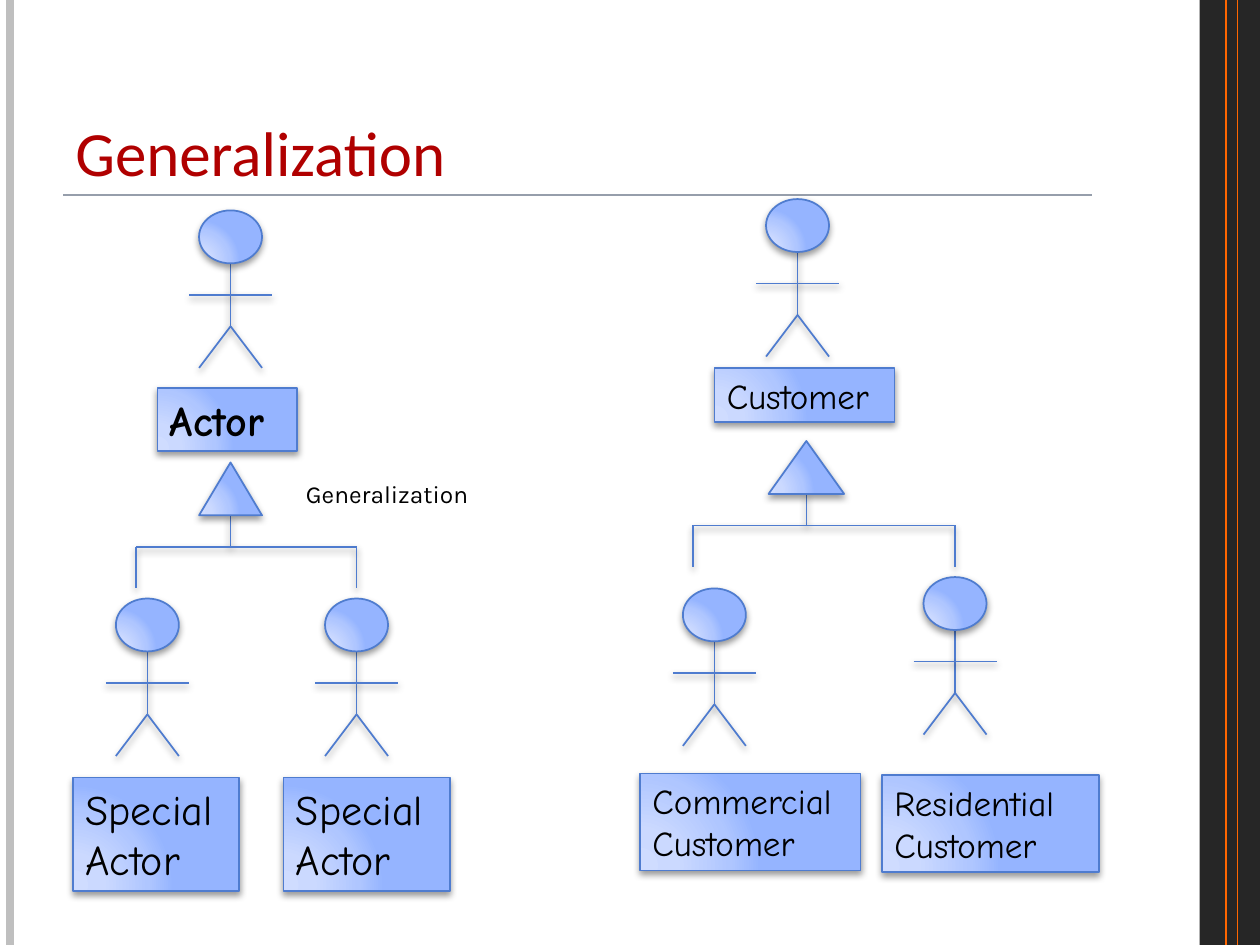
"""Build the slide on generalization between actors in use case diagrams."""
from pptx import Presentation
from pptx.dml.color import RGBColor
from pptx.enum.shapes import MSO_CONNECTOR, MSO_SHAPE
from pptx.enum.text import MSO_ANCHOR, MSO_AUTO_SIZE, PP_ALIGN
from pptx.oxml import parse_xml
from pptx.oxml.ns import nsdecls
from pptx.util import Inches, Pt

BLACK = RGBColor(0x00, 0x00, 0x00)
DARK = RGBColor(0x26, 0x26, 0x26)
GREY = RGBColor(0xBF, 0xBF, 0xBF)
RULE_GREY = RGBColor(0x96, 0x9E, 0xAB)
ORANGE = RGBColor(0xFF, 0x66, 0x00)
RED = RGBColor(0xB0, 0x00, 0x00)
BLUE = RGBColor(0x4F, 0x7C, 0xCF)
SHADES = [
    (0, RGBColor(0xCF, 0xDC, 0xFF)),
    (30, RGBColor(0xCB, 0xD9, 0xFF)),
    (75, RGBColor(0xAF, 0xC6, 0xFF)),
    (100, RGBColor(0x95, 0xB4, 0xFF)),
]

STOPS = "".join(
    f'<a:gs pos="{percent * 1000}"><a:srgbClr val="{shade}"/></a:gs>' for percent, shade in SHADES
)
GRADIENT = (
    f'<a:gradFill {nsdecls("a")} rotWithShape="1"><a:gsLst>{STOPS}</a:gsLst><a:path path="circle">'
    '<a:fillToRect l="5000" t="100000" r="120000" b="10000"/></a:path></a:gradFill>'
)
SHADOW = (
    f'<a:effectLst {nsdecls("a")}><a:outerShdw blurRad="50800" dist="25400" dir="5400000" '
    f'rotWithShape="0"><a:srgbClr val="{BLACK}"><a:alpha val="40000"/></a:srgbClr>'
    "</a:outerShdw></a:effectLst>"
)
NO_EFFECT = f'<a:effectLst {nsdecls("a")}/>'


def write(shape, text, *, font, size, color=BLACK, bold=False, wrap=True,
          anchor=MSO_ANCHOR.TOP, fit=MSO_AUTO_SIZE.SHAPE_TO_FIT_TEXT):
    frame = shape.text_frame
    frame.word_wrap = wrap
    frame.auto_size = fit
    frame.vertical_anchor = anchor
    frame.text = text
    for paragraph in frame.paragraphs:
        paragraph.alignment = PP_ALIGN.LEFT
        paragraph.font.name = font
        paragraph.font.size = Pt(size)
        paragraph.font.bold = bold
        paragraph.font.color.rgb = color


def draw_line(x1, y1, x2, y2, color=BLUE, width=1, effect=SHADOW):
    line = slide.shapes.add_connector(
        MSO_CONNECTOR.STRAIGHT, Inches(x1), Inches(y1), Inches(x2), Inches(y2)
    )
    line.line.color.rgb = color
    line.line.width = Pt(width)
    line._element.spPr.append(parse_xml(effect))


prs = Presentation()
prs.slide_width = Inches(10)
prs.slide_height = Inches(7.5)
slide = prs.slides.add_slide(prs.slide_layouts[6])

side_band = slide.shapes.add_shape(
    MSO_SHAPE.RECTANGLE, Inches(9.52), Inches(0), Inches(0.48), Inches(7.5)
)
side_band.shadow.inherit = False
side_band.fill.solid()
side_band.fill.fore_color.rgb = DARK
side_band.line.fill.background()

for x1, y1, x2, y2, color, width in [
    (0.08, 0, 0.08, 7.5, GREY, 4.5),
    (9.73, 0, 9.73, 7.5, ORANGE, 0.75),
    (9.82, 0, 9.82, 7.5, ORANGE, 0.75),
    (0.5, 1.55, 8.67, 1.55, RULE_GREY, 1),
]:
    draw_line(x1, y1, x2, y2, color, width, NO_EFFECT)

title = slide.shapes.add_textbox(Inches(0.5), Inches(0.3), Inches(8.17), Inches(1.25))
write(title, "Generalization", font="Calibri", size=36, color=RED,
      anchor=MSO_ANCHOR.BOTTOM, fit=MSO_AUTO_SIZE.NONE)

actors = [
    (1.17, 4.75, "Special\nActor", (0.58, 6.17, 1.32, 0.9), 24, False),
    (2.83, 4.75, "Special\nActor", (2.25, 6.17, 1.32, 0.9), 24, False),
    (1.83, 1.67, "Actor", (1.25, 3.08, 1.11, 0.5), 24, True),
    (6.33, 1.58, "Customer", (5.67, 2.92, 1.43, 0.43), 20, False),
    (5.67, 4.67, "Commercial\nCustomer", (5.08, 6.14, 1.75, 0.77), 20, False),
    (7.58, 4.58, "Residential\nCustomer", (7, 6.15, 1.72, 0.77), 20, False),
]
branches = [
    (1.83, 3.67, 0.5, 1.08, 2.83),
    (6.4, 3.5, 0.6, 5.5, 7.58),
]

solids = []
for center, top, role, label_box, size, bold in actors:
    hip = top + 0.92
    solids.append((MSO_SHAPE.OVAL, (center - 0.25, top, 0.5, 0.42), "", size, bold))
    solids.append((MSO_SHAPE.RECTANGLE, label_box, role, size, bold))
    draw_line(center, top + 0.42, center, hip)
    draw_line(center - 0.33, top + 0.67, center + 0.33, top + 0.67)
    for foot in (center - 0.25, center + 0.25):
        draw_line(center, hip, foot, hip + 0.33)

for center, top, width, left, right in branches:
    bar = top + 0.67
    solids.append((MSO_SHAPE.ISOSCELES_TRIANGLE, (center - width / 2, top, width, 0.42), "", 20, False))
    draw_line(center, top + 0.42, center, bar)
    draw_line(left, bar, right, bar)
    for end in (left, right):
        draw_line(end, bar, end, bar + 0.33)

for preset, box, role, size, bold in solids:
    solid = slide.shapes.add_shape(preset, *map(Inches, box))
    solid.line.color.rgb = BLUE
    solid.line.width = Pt(1)
    properties = solid._element.spPr
    properties.insert(2, parse_xml(GRADIENT))
    properties.append(parse_xml(SHADOW))
    if role:
        write(solid, role, font="Comic Neue", size=size, bold=bold, wrap=False)

relation = slide.shapes.add_textbox(Inches(2.33), Inches(3.75), Inches(1.5), Inches(0.33))
write(relation, "Generalization", font="Karla", size=14, anchor=MSO_ANCHOR.MIDDLE)

prs.save("out.pptx")
